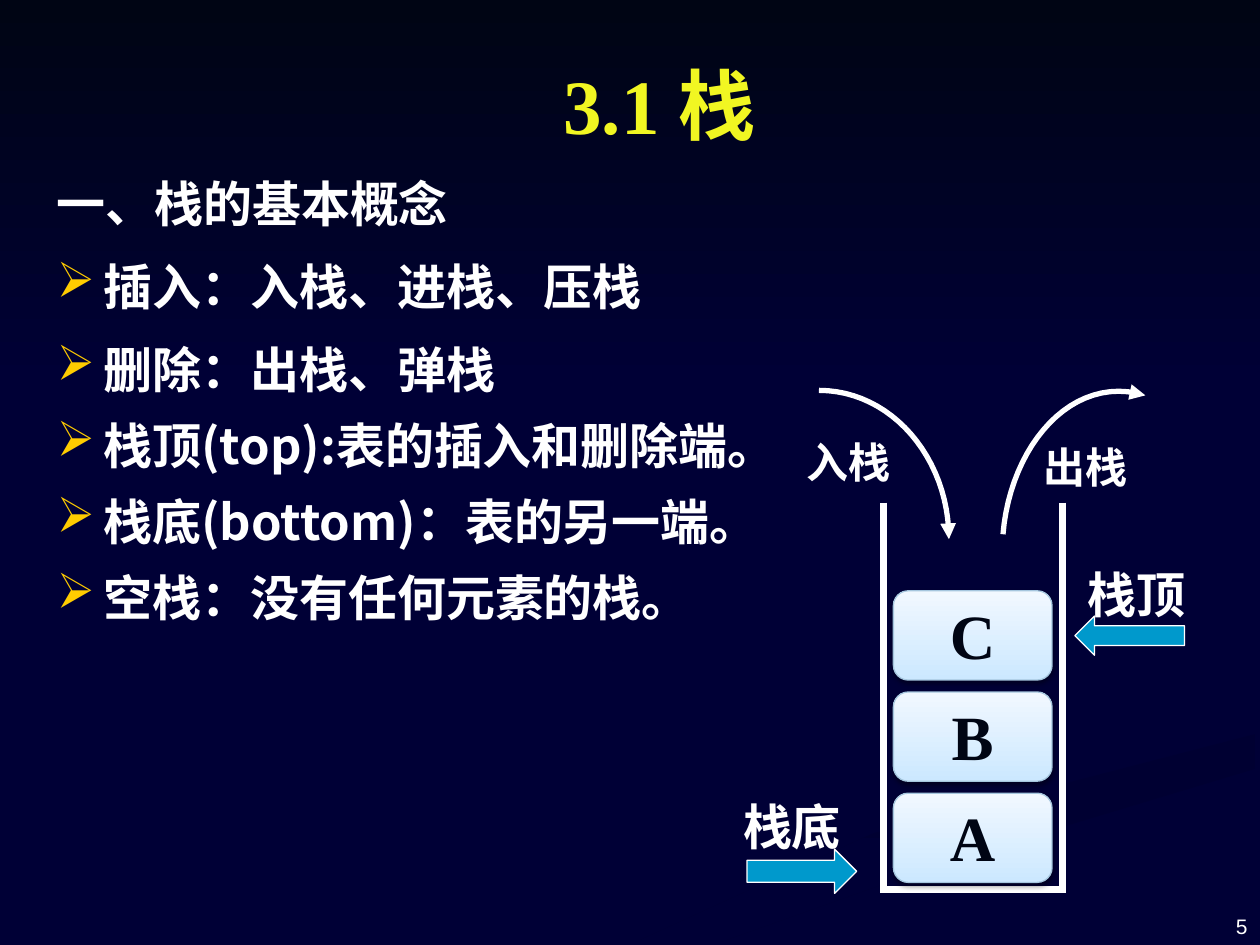
from lxml import etree
from pptx import Presentation
from pptx import util as u
from pptx.dml.color import RGBColor
from pptx.enum import shapes, text
from pptx.oxml import ns

SANS, SERIF = "Noto Sans CJK SC", "Times New Roman"
NAVY, INK, WHITE = "000036", "000514", "FFFFFF"
ALIGN = text.PP_ALIGN
ANCHOR = text.MSO_ANCHOR
PRESET = shapes.MSO_SHAPE


def rgb(value):
    return RGBColor.from_string(value)


def child(parent, tag, **attrs):
    return etree.SubElement(parent, ns.qn(tag),
                            {k: str(v) for k, v in attrs.items()})


def within(box, x, y, w, h):
    return box[0] + x, box[1] + y, w, h


def lengths(box):
    return [u.Cm(v) for v in box]


def gradient(sp, colors, angle):
    sp.fill.gradient()
    sp.fill.gradient_angle = angle
    for i, color in enumerate(colors):
        stop = sp.fill.gradient_stops[i]
        stop.color.rgb = rgb(color)
        stop.position = i


def outline(sp, color, width):
    sp.line.color.rgb = rgb(color)
    sp.line.width = u.Pt(width)


def write(tf, lines, size, font, color=WHITE, bold=True, align=ALIGN.LEFT,
          anchor=ANCHOR.TOP, wrap=True, spacing=1.25):
    tf.word_wrap = wrap
    tf.vertical_anchor = anchor
    for i, line in enumerate(lines):
        p = tf.add_paragraph() if i else tf.paragraphs[0]
        p.text = line
        p.alignment = align
        p.line_spacing = u.Pt(size * spacing)
        p.font.size = u.Pt(size)
        p.font.name = font
        p.font.bold = bold
        p.font.color.rgb = rgb(color)


def add_text(slide, box, lines, size, font, **style):
    sp = slide.shapes.add_textbox(*lengths(box))
    write(sp.text_frame, lines, size, font, **style)
    return sp.text_frame


def freeform(slide, box, points, closed):
    dots = [(round(x * 1000), round(y * 1000)) for x, y in points]
    builder = slide.shapes.build_freeform(*dots[0], scale=u.Cm(0.001))
    builder.add_line_segments(dots[1:], close=closed)
    sp = builder.convert_to_shape(u.Cm(box[0]), u.Cm(box[1]))
    sp.shadow.inherit = False
    return sp


def backdrop(slide, box):
    slide.background.fill.solid()
    slide.background.fill.fore_color.rgb = rgb(NAVY)
    ribbon = [(12.8, 19), (17.6, 16.8), (25.3, 14.8), (25.3, 15.5), (19, 17.4), (14.5, 19)]
    swoosh = freeform(slide, box, ribbon, True)
    gradient(swoosh, ("000032", NAVY), 270)
    glow = slide.shapes.add_shape(PRESET.RECTANGLE, *lengths(within(box, 0, 0, box[2], 7.82)))
    glow.shadow.inherit = False
    gradient(glow, (INK, NAVY), 270)
    for sp in (swoosh, glow):
        sp.line.fill.background()


def concepts(slide, box):
    rows = [("一、栈的基本概念", SANS, 2.8), ("插入：入栈、进栈、压栈", SERIF, 7),
            ("删除：出栈、弹栈", SERIF, 7), ("栈顶(top):表的插入和删除端。", SANS, 2.8),
            ("栈底(bottom)：表的另一端。", SANS, 2.8), ("空栈：没有任何元素的栈。", SANS, 2.8)]
    tf = add_text(slide, box, [row[0] for row in rows], 28, SANS, spacing=1.45)
    for i, (p, (_, font, before)) in enumerate(zip(tf.paragraphs, rows)):
        p.font.name = font
        p.space_before = u.Pt(before)
        if i:
            pPr = p._p.get_or_add_pPr()
            pPr.set("marL", str(u.Cm(0.95)))
            pPr.set("indent", str(-u.Cm(0.95)))
            tint = etree.Element(ns.qn("a:buClr"))
            child(tint, "a:srgbClr", val="FFCC00")
            defaults = pPr.find(ns.qn("a:defRPr"))
            defaults.addprevious(tint)
            defaults.addprevious(etree.Element(ns.qn("a:buChar"), char="➢"))


def stack(slide, box, items):
    cell = slide.shapes.add_table(1, 1, *lengths(box)).table.cell(0, 0)
    tcPr = cell._tc.get_or_add_tcPr()
    for side in "LRTB":
        ln = child(tcPr, f"a:ln{side}", w=u.Pt(4.5))
        if side == "T":
            child(ln, "a:noFill")
        else:
            child(child(ln, "a:solidFill"), "a:srgbClr", val=WHITE)
    cell.fill.solid()
    cell.fill.fore_color.rgb = rgb(NAVY)
    for i, item in enumerate(items):
        place = within(box, 0.2, 1.78 + 2.04 * i, 3.2, 1.8)
        sp = slide.shapes.add_shape(PRESET.ROUNDED_RECTANGLE, *lengths(place))
        gradient(sp, ("CCE8FF", "F1F8FF"), 90)
        outline(sp, "A5C6DE", 0.75)
        shadow = child(child(sp._element.spPr, "a:effectLst"), "a:outerShdw",
                       blurRad=u.Pt(3.1), dist=u.Pt(1.6), dir=5400000, rotWithShape=0)
        child(child(shadow, "a:srgbClr", val="000000"), "a:alpha", val=38000)
        write(sp.text_frame, [item], 36, SERIF, color=INK, align=ALIGN.CENTER,
              anchor=ANCHOR.MIDDLE, wrap=False, spacing=1.15)


def bezier(a, b, c, d, steps=24):
    for i in range(steps + 1):
        t = i / steps
        k = ((1 - t) ** 3, 3 * t * (1 - t) ** 2, 3 * t * t * (1 - t), t ** 3)
        yield tuple(sum(f * q[axis] for f, q in zip(k, (a, b, c, d)))
                    for axis in (0, 1))


def move(slide, box, curve, label, label_offset):
    sp = freeform(slide, box, bezier(*curve), False)
    sp.fill.background()
    outline(sp, WHITE, 3)
    child(sp._element.spPr.find(ns.qn("a:ln")), "a:tailEnd", type="triangle")
    add_text(slide, within(box, *label_offset, 2.49, 1.27), [label], 24, SERIF)


def marker(slide, box, label, kind, arrow):
    sp = slide.shapes.add_shape(kind, *lengths(within(box, *arrow)))
    sp.shadow.inherit = False
    sp.fill.solid()
    sp.fill.fore_color.rgb = rgb("0099CC")
    outline(sp, WHITE, 0.75)
    add_text(slide, within(box, 0, 0, 2.51, 1.45), [label], 28, SANS, wrap=False)


def main():
    prs = Presentation()
    prs.slide_width, prs.slide_height = u.Cm(25.4), u.Cm(19.05)
    slide = prs.slides.add_slide(prs.slide_layouts[6])
    backdrop(slide, (0, 0, 25.4, 19.05))
    add_text(slide, (19.48, 17.73, 5.92, 1.32), ["5"], 12, "Arial", bold=False,
             align=ALIGN.RIGHT, anchor=ANCHOR.BOTTOM)
    add_text(slide, (2.9, 1.17, 20.8, 1.75), ["3.1 栈"], 44, SERIF, color="F1F622",
             align=ALIGN.CENTER, anchor=ANCHOR.MIDDLE)
    concepts(slide, (0.89, 3.12, 24, 4.39))
    stack(slide, (17.81, 10.13, 3.61, 7.8), "CBA")
    move(slide, (16.51, 7.87, 2.62, 3), [(0, 0), (1.45, 0), (2.62, 1.35), (2.62, 3)],
         "入栈", (-0.51, 0.77))
    move(slide, (20.22, 7.87, 2.87, 2.9),
         [(0, 2.9), (0.15, 1.1), (1.4, -0.35), (2.87, 0.1)], "出栈", (0.56, 0.87))
    marker(slide, (21.67, 11.2, 2.51, 2.01), "栈顶", PRESET.LEFT_ARROW, (0, 1.22, 2.21, 0.79))
    marker(slide, (14.73, 15.88, 2.54, 2.13), "栈底", PRESET.RIGHT_ARROW, (0.33, 1.24, 2.21, 0.89))
    prs.save("out.pptx")


if __name__ == "__main__":
    main()
